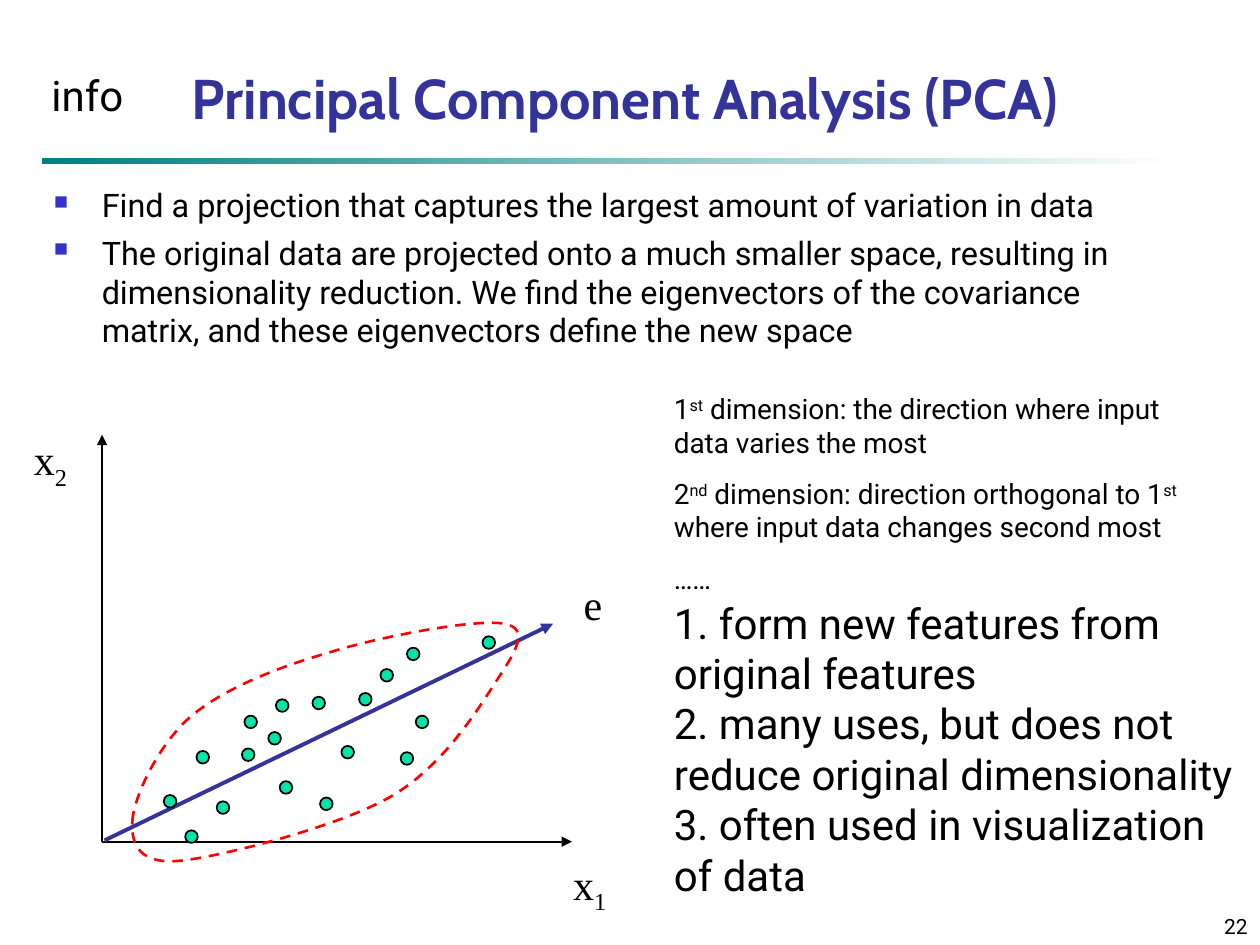
from dataclasses import dataclass
from typing import NamedTuple

from lxml import etree
from pptx import Presentation
from pptx.dml.color import RGBColor
from pptx.enum.dml import MSO_LINE
from pptx.enum.shapes import MSO_CONNECTOR, MSO_SHAPE
from pptx.enum.text import MSO_ANCHOR, PP_ALIGN
from pptx.oxml.ns import qn
from pptx.util import Inches, Pt

LEFT, CENTER, RIGHT = PP_ALIGN.LEFT, PP_ALIGN.CENTER, PP_ALIGN.RIGHT
TOP, MIDDLE, BOTTOM = MSO_ANCHOR.TOP, MSO_ANCHOR.MIDDLE, MSO_ANCHOR.BOTTOM
STRAIGHT = MSO_CONNECTOR.STRAIGHT
DASH = MSO_LINE.DASH

COLUMNS, ROWS = 100, 75
CELL = Inches(0.1)
CURVE_STEPS = 16
SUPER, SUB = 30000, -25000

COLORS = {
    "text": "000000",
    "title": "333399",
    "bullet": "3333CC",
    "rule": "008080",
    "paper": "FFFFFF",
    "dot": "00E4A8",
    "outline": "FF0000",
}


class Point(NamedTuple):
    column: float
    row: float


class Run(NamedTuple):
    text: str
    baseline: int = 0


@dataclass
class TextBlock:
    left: float
    top: float
    width: float
    height: float
    paragraphs: list[list[Run]]
    size: float = 24
    font: str = "Roboto"
    color: str = "text"
    bold: bool = False
    align: PP_ALIGN = LEFT
    anchor: MSO_ANCHOR = TOP
    wrap: bool = True
    space_before: float = 0
    indent: float = 0
    bulleted: bool = False


@dataclass
class Arrow:
    start: Point
    end: Point
    color: str = "text"
    width: float = 1


def axis_label(left: float, top: float, width: float, height: float, *runs: Run) -> TextBlock:
    return TextBlock(left, top, width, height, [list(runs)], font="Times New Roman",
                     align=CENTER, anchor=MIDDLE, wrap=False)


TEXTS = [
    TextBlock(79.2, 70.8, 20.8, 4.2, [[Run("22")]], size=12, align=RIGHT, anchor=BOTTOM),
    axis_label(1.7, 33.9, 4.6, 5.6, Run("x"), Run("2", SUB)),
    axis_label(44.5, 67.6, 4.6, 5.6, Run("x"), Run("1", SUB)),
    axis_label(45.3, 45.4, 3.5, 5, Run("e")),
    TextBlock(1.7, 1.7, 95.8, 9.2, [[Run("Principal Component Analysis (PCA)")]], size=32,
              font="Cabin", color="title", bold=True, align=CENTER, anchor=BOTTOM),
    TextBlock(3.3, 14.2, 91.7, 17.5, [
        [Run("Find a projection that captures the largest amount of variation in data")],
        [Run("The original data are projected onto a much smaller space, resulting in "
             "dimensionality reduction. We find the eigenvectors of the covariance "
             "matrix, and these eigenvectors define the new space")],
    ], size=18.5, space_before=5, indent=3.8, bulleted=True),
    TextBlock(52.5, 30.6, 45, 17.1, [
        [Run("1"), Run("st", SUPER),
         Run(" dimension: the direction where input data varies the most")],
        [Run("2"), Run("nd", SUPER), Run(" dimension: direction orthogonal to 1"),
         Run("st", SUPER), Run(" where input data changes second most")],
        [Run("……")],
    ], size=16, space_before=10),
    TextBlock(47.5, 46.9, 54.5, 29, [[Run(line)] for line in (
        "1. form new features from",
        "original features",
        "2. many uses, but does not",
        "reduce original dimensionality",
        "3. often used in visualization",
        "of data",
    )], indent=5),
    TextBlock(3.1, 5, 8.1, 5, [[Run("info")]], wrap=False),
]

ORIGIN = Point(8.1, 66.8)
ARROWS = [
    Arrow(ORIGIN, Point(8.1, 34.5)),
    Arrow(ORIGIN, Point(45.4, 66.8)),
    Arrow(Point(8.3, 66.7), Point(43.9, 49.5), "title", 2.25),
]

DOT_SIZE = 1
DOTS = [Point(*corner) for corner in (
    (15.6, 59.6), (19.4, 56.8), (13, 63.1), (21.3, 58.1), (19.2, 59.4), (27.1, 59.2),
    (25.4, 63.3), (22.2, 62), (24.8, 55.3), (33, 56.8), (38.3, 50.5), (17.2, 63.6),
    (28.5, 55), (32.3, 51.4), (21.9, 55.5), (30.2, 53.1), (31.8, 59.7), (14.7, 65.9),
)]

# The start, then two control points and an end for each Bézier curve.
CLOUD = [Point(*place) for place in (
    (10.5, 65.2),
    (10.6, 63.3), (12.5, 59.2), (15.1, 56.9),
    (17.7, 54.7), (21.9, 53), (26.1, 51.8),
    (30.2, 50.5), (37.8, 49.1), (40, 49.5),
    (42.2, 49.9), (40.8, 51.9), (39.3, 54.2),
    (37.8, 56.5), (35.1, 60.9), (30.9, 63.3),
    (26.8, 65.6), (17.9, 67.9), (14.5, 68.3),
    (11.1, 68.7), (10.4, 67.1), (10.5, 65.2),
)]


def cells(*lengths: float) -> list[int]:
    return [round(length * CELL) for length in lengths]


def rgb(name: str) -> RGBColor:
    return RGBColor.from_string(COLORS[name])


def add_bullet(paragraph) -> None:
    properties = paragraph._p.get_or_add_pPr()
    color = etree.SubElement(properties, qn("a:buClr"))
    etree.SubElement(color, qn("a:srgbClr"), val=COLORS["bullet"])
    etree.SubElement(properties, qn("a:buSzPct"), val="60000")
    etree.SubElement(properties, qn("a:buChar"), char="■")


def add_text(slide, block: TextBlock) -> None:
    box = slide.shapes.add_textbox(*cells(block.left, block.top, block.width, block.height))
    frame = box.text_frame
    frame.word_wrap = block.wrap
    frame.vertical_anchor = block.anchor
    for index, runs in enumerate(block.paragraphs):
        paragraph = frame.add_paragraph() if index else frame.paragraphs[0]
        paragraph.alignment = block.align
        indent, = cells(block.indent)
        properties = paragraph._p.get_or_add_pPr()
        properties.set("marL", str(indent))
        if block.bulleted:
            properties.set("indent", str(-indent))
            add_bullet(paragraph)
        if index:
            paragraph.space_before = Pt(block.space_before)
        font = paragraph.font
        font.name, font.size, font.bold = block.font, Pt(block.size), block.bold
        font.color.rgb = rgb(block.color)
        for text, baseline in runs:
            run = paragraph.add_run()
            run.text = text
            if baseline:
                run._r.get_or_add_rPr().set("baseline", str(baseline))


def add_rule(slide) -> None:
    """Draw the bar under the title, fading to the paper colour."""
    rule = slide.shapes.add_shape(MSO_SHAPE.RECTANGLE, *cells(3.3, 12.5, 90, 0.5))
    rule.shadow.inherit = False
    rule.line.fill.background()
    rule.fill.gradient()
    rule.fill.gradient_angle = 0
    for stop, position, color in zip(rule.fill.gradient_stops, (0, 1), ("rule", "paper")):
        stop.position = position
        stop.color.rgb = rgb(color)


def add_arrow(slide, arrow: Arrow) -> None:
    connector = slide.shapes.add_connector(STRAIGHT, *cells(*arrow.start, *arrow.end))
    connector.line.color.rgb = rgb(arrow.color)
    connector.line.width = Pt(arrow.width)
    etree.SubElement(connector.line._get_or_add_ln(), qn("a:tailEnd"), type="triangle")
    etree.SubElement(connector._element.spPr, qn("a:effectLst"))


def add_dot(slide, corner: Point) -> None:
    dot = slide.shapes.add_shape(MSO_SHAPE.OVAL, *cells(*corner, DOT_SIZE, DOT_SIZE))
    dot.shadow.inherit = False
    dot.fill.solid()
    dot.fill.fore_color.rgb = rgb("dot")
    dot.line.color.rgb = rgb("text")
    dot.line.width = Pt(1)


def bezier(curve: list[Point], share: float) -> list[int]:
    rest = 1 - share
    weights = (rest ** 3, 3 * rest ** 2 * share, 3 * rest * share ** 2, share ** 3)
    return cells(*(sum(weight * value for weight, value in zip(weights, axis))
                   for axis in zip(*curve)))


def add_cloud(slide) -> None:
    """Draw the dashed outline around the data points."""
    points = [bezier(CLOUD[first:first + 4], step / CURVE_STEPS)
              for first in range(0, len(CLOUD) - 1, 3)
              for step in range(1, CURVE_STEPS + 1)]
    builder = slide.shapes.build_freeform(*cells(*CLOUD[0]))
    builder.add_line_segments(points, close=True)
    cloud = builder.convert_to_shape()
    cloud.shadow.inherit = False
    cloud.fill.background()
    cloud.line.color.rgb = rgb("outline")
    cloud.line.width = Pt(1.5)
    cloud.line.dash_style = DASH


def main() -> None:
    presentation = Presentation()
    presentation.slide_width, presentation.slide_height = cells(COLUMNS, ROWS)
    slide = presentation.slides.add_slide(presentation.slide_layouts[6])
    add_rule(slide)
    for arrow in ARROWS:
        add_arrow(slide, arrow)
    add_cloud(slide)
    for corner in DOTS:
        add_dot(slide, corner)
    for block in TEXTS:
        add_text(slide, block)
    presentation.save("out.pptx")


if __name__ == "__main__":
    main()
